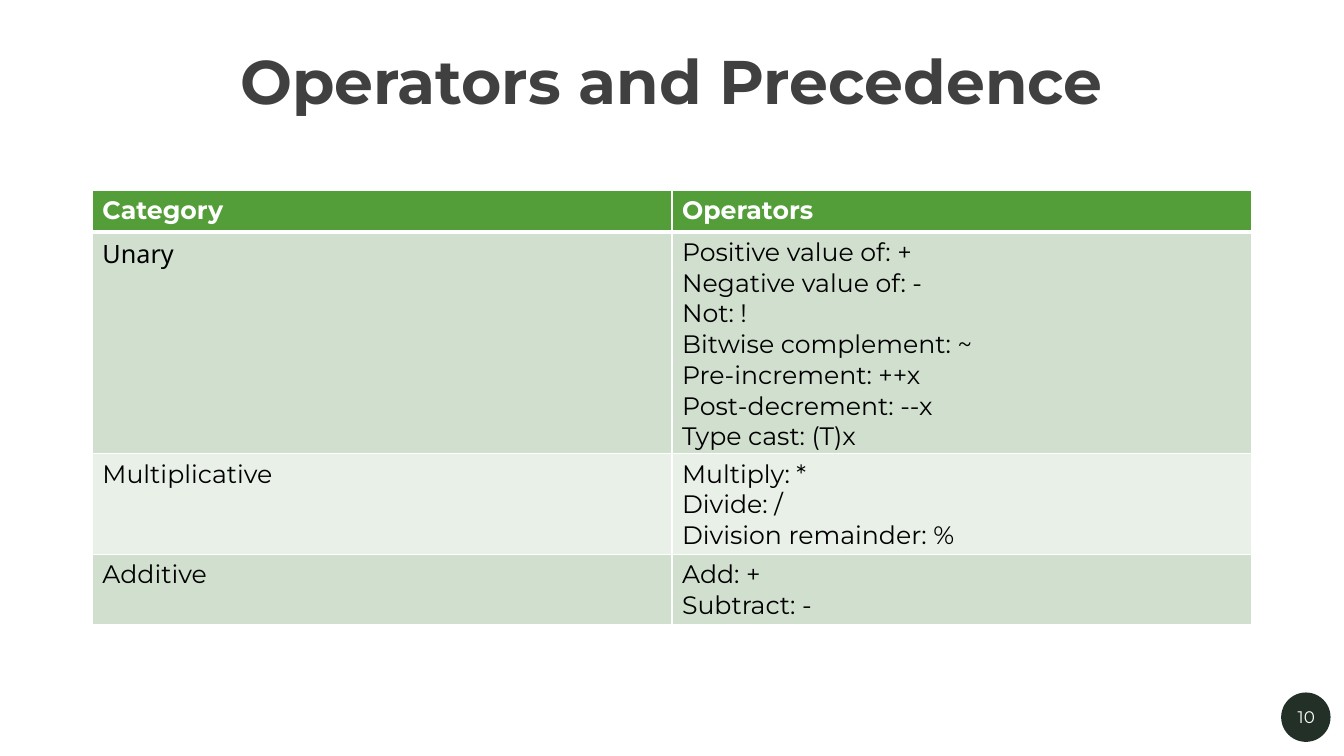
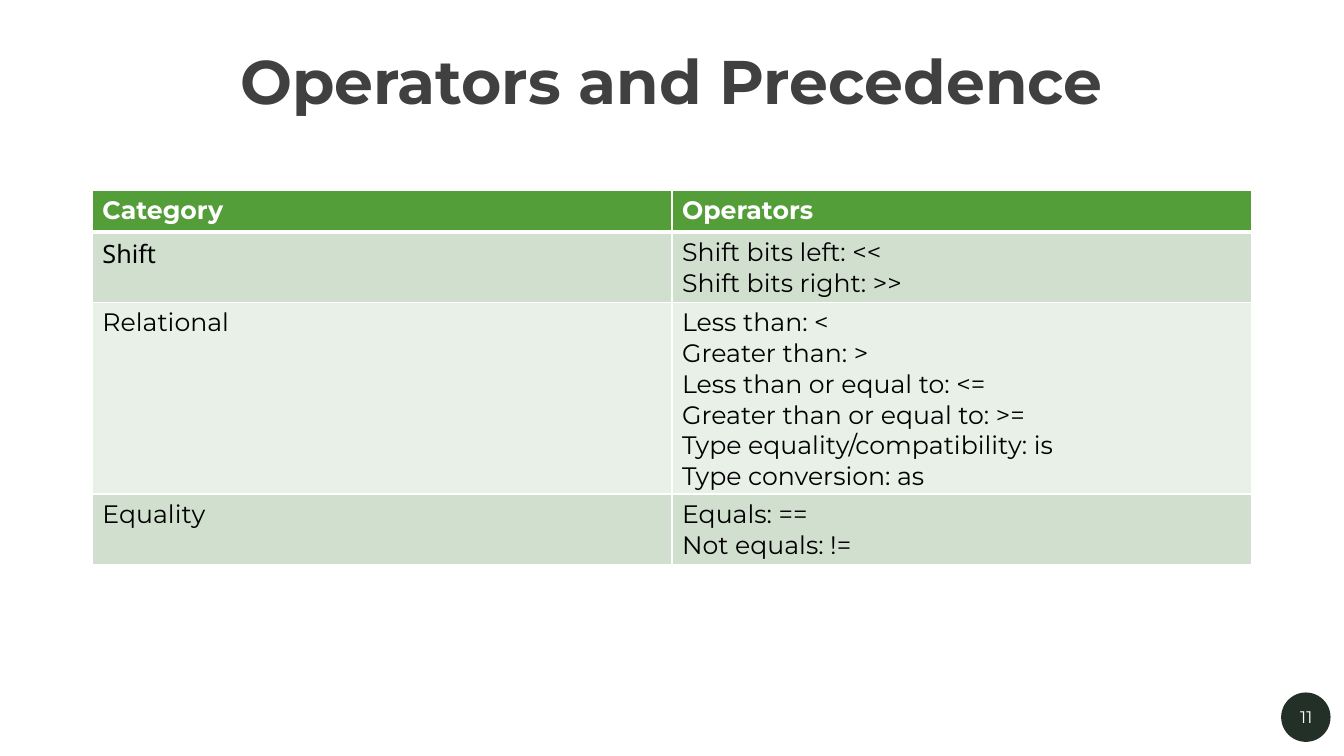
from dataclasses import dataclass

from lxml import etree
from pptx import Presentation
from pptx import util as u
from pptx.dml.color import RGBColor
from pptx.enum import shapes, text
from pptx.oxml import ns


@dataclass(frozen=True)
class Theme:
    font: str = "Montserrat"
    accent_font: str = "Noto Sans"
    title: str = "404040"
    header: str = "549E39"
    bands: tuple[str, str] = ("D1DFCE", "E9F0E8")
    badge: str = "223028"
    light: str = "FFFFFF"
    dark: str = "000000"
    title_size: int = 44
    body_size: int = 18
    badge_size: int = 12
    rule: int = 1
    header_rule: int = 3


@dataclass(frozen=True)
class Box:
    col: float
    row: float
    cols: float
    rows: float

    def emu(self) -> tuple[int, ...]:
        return tuple(round(n * UNIT) for n in (self.col, self.row, self.cols, self.rows))


@dataclass(frozen=True)
class Category:
    name: str
    operators: tuple[str, ...]


@dataclass(frozen=True)
class Page:
    number: int
    categories: tuple[Category, ...]


THEME = Theme()
GRID_COLS, GRID_ROWS = 160, 90
UNIT = u.Inches(7.5) / GRID_ROWS
TITLE = Box(11, 4.56, 138, 10.92)
TABLE = Box(11, 22.68, 138, 4.92)
BADGE = Box(152.52, 82.44, 5.88, 5.88)
NUMBER = Box(151.56, 82.92, 7.92, 4.8)
HEADING = "Operators and Precedence"
COLUMNS = ("Category", "Operators")

PAGES = (
    Page(10, (
        Category("Unary", (
            "Positive value of: +", "Negative value of: -", "Not: !",
            "Bitwise complement: ~", "Pre-increment: ++x",
            "Post-decrement: --x", "Type cast: (T)x")),
        Category("Multiplicative", ("Multiply: *", "Divide: /", "Division remainder: %")),
        Category("Additive", ("Add: +", "Subtract: -")),
    )),
    Page(11, (
        Category("Shift", ("Shift bits left: <<", "Shift bits right: >>")),
        Category("Relational", (
            "Less than: <", "Greater than: >", "Less than or equal to: <=",
            "Greater than or equal to: >=", "Type equality/compatibility: is",
            "Type conversion: as")),
        Category("Equality", ("Equals: ==", "Not equals: !=")),
    )),
)


def write(tf, lines: tuple[str, ...], color: str, size: int,
          bold: bool = False, font: str = THEME.font, **layout) -> None:
    formats = {"name": font, "size": u.Pt(size), "bold": bold}
    for i, line in enumerate(lines):
        p = tf.add_paragraph() if i else tf.paragraphs[0]
        for key, value in layout.items():
            setattr(p, key, value)
        r = p.add_run()
        r.text = line
        for key, value in formats.items():
            setattr(r.font, key, value)
        r.font.color.rgb = RGBColor.from_string(color)


def add_label(s, box: Box, line: str, color: str, size: int, **formats) -> None:
    tf = s.shapes.add_textbox(*box.emu()).text_frame
    for key, value in {"word_wrap": True, "vertical_anchor": text.MSO_ANCHOR.MIDDLE}.items():
        setattr(tf, key, value)
    write(tf, (line,), color, size, alignment=text.PP_ALIGN.CENTER, **formats)


def add_borders(cell, top: int, bottom: int) -> None:
    props = cell._tc.get_or_add_tcPr()
    widths = {"L": THEME.rule, "R": THEME.rule, "T": top, "B": bottom}
    for side, width in widths.items():
        line = etree.SubElement(props, ns.qn(f"a:ln{side}"), w=str(u.Pt(width)))
        fill = etree.SubElement(line, ns.qn("a:solidFill"))
        etree.SubElement(fill, ns.qn("a:srgbClr"), val=THEME.light)


def fill_cell(cell, lines: tuple[str, ...], fill: str, color: str,
              top: int, bottom: int, **formats) -> None:
    add_borders(cell, top, bottom)
    cell.fill.solid()
    cell.fill.fore_color.rgb = RGBColor.from_string(fill)
    write(cell.text_frame, lines, color, THEME.body_size, **formats)


def add_operator_table(s, categories: tuple[Category, ...]) -> None:
    row_count = len(categories) + 1
    left, top, width, height = TABLE.emu()
    table = s.shapes.add_table(row_count, len(COLUMNS), left, top, width,
                               height * row_count).table
    for cell, heading in zip(table.rows[0].cells, COLUMNS):
        fill_cell(cell, (heading,), THEME.header, THEME.light,
                  THEME.rule, THEME.header_rule, bold=True)
    for i, category in enumerate(categories):
        band = THEME.bands[i % len(THEME.bands)]
        rule = THEME.rule if i else THEME.header_rule
        name_font = THEME.font if i else THEME.accent_font
        name_cell, operator_cell = table.rows[i + 1].cells
        fill_cell(name_cell, (category.name,), band, THEME.dark,
                  rule, THEME.rule, font=name_font)
        fill_cell(operator_cell, category.operators, band, THEME.dark, rule, THEME.rule)


def add_badge(s, number: int) -> None:
    sp = s.shapes.add_shape(shapes.MSO_SHAPE.OVAL, *BADGE.emu())
    sp.shadow.inherit = False
    sp.fill.solid()
    sp.fill.fore_color.rgb = RGBColor.from_string(THEME.badge)
    sp.line.fill.background()
    add_label(s, NUMBER, str(number), THEME.light, THEME.badge_size)


def add_page(prs, page: Page) -> None:
    s = prs.slides.add_slide(prs.slide_layouts[6])
    add_label(s, TITLE, HEADING, THEME.title, THEME.title_size, bold=True, line_spacing=0.9)
    add_operator_table(s, page.categories)
    add_badge(s, page.number)


def main() -> None:
    prs = Presentation()
    prs.slide_width = round(GRID_COLS * UNIT)
    prs.slide_height = round(GRID_ROWS * UNIT)
    for page in PAGES:
        add_page(prs, page)
    prs.save("out.pptx")


main()
